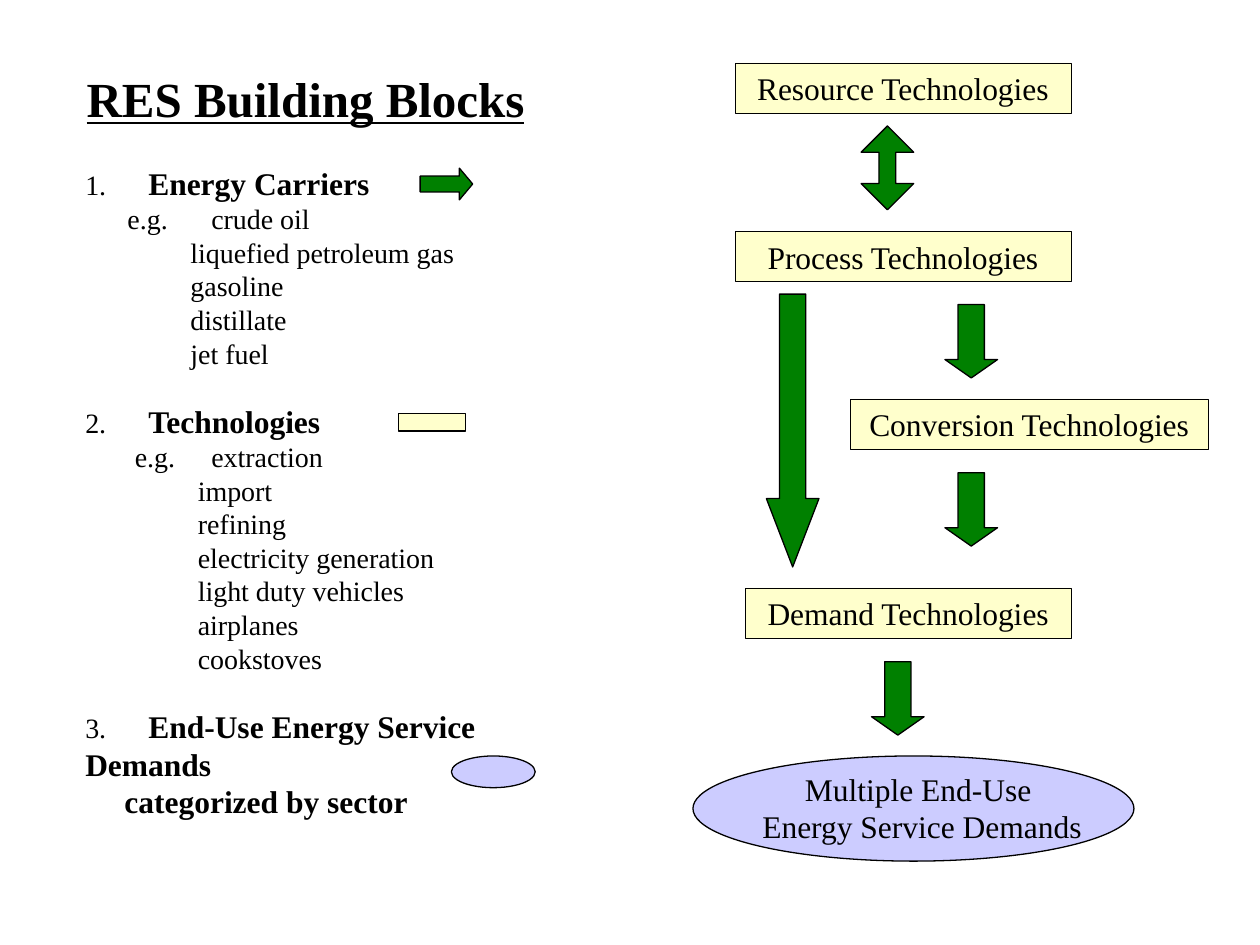
import dataclasses

import pptx
import pptx.dml.color
import pptx.enum.shapes
import pptx.enum.text
import pptx.oxml
import pptx.oxml.ns
import pptx.util

Cm = pptx.util.Cm
Pt = pptx.util.Pt
Shape = pptx.enum.shapes.MSO_SHAPE
Align = pptx.enum.text.PP_ALIGN
Anchor = pptx.enum.text.MSO_ANCHOR
Color = pptx.dml.color.RGBColor.from_string


@dataclasses.dataclass(frozen=True)
class Theme:
    font: str = "Times New Roman"
    ink: str = "000000"
    carrier: str = "008000"
    technology: str = "FFFFCC"
    demand: str = "CCCCFF"
    title: int = 28
    heading: int = 18
    body: int = 16


theme = Theme()


def add_block(kind, position, fill, line_width=0.75, adjustments=()):
    shape = slide.shapes.add_shape(kind, *map(Cm, position))
    shape.shadow.inherit = False
    shape.fill.solid()
    shape.fill.fore_color.rgb = Color(fill)
    shape.line.color.rgb = Color(theme.ink)
    shape.line.width = Pt(line_width)
    for index, value in enumerate(adjustments):
        shape.adjustments[index] = value
    return shape


def add_run(paragraph, text, size, bold=False):
    run = paragraph.add_run()
    run.text = text
    run.font.name = theme.font
    run.font.size = Pt(size)
    run.font.bold = bold
    run.font.color.rgb = Color(theme.ink)
    return run


presentation = pptx.Presentation()
presentation.slide_width = Cm(25.4)
presentation.slide_height = Cm(19.05)
slide = presentation.slides.add_slide(presentation.slide_layouts[6])

add_block(Shape.OVAL, (13.97, 15.24, 8.89, 2.12), theme.demand)

title = slide.shapes.add_textbox(Cm(0.66), Cm(0.61), Cm(11), Cm(2.74))
title.text_frame.word_wrap = True
title.text_frame.vertical_anchor = Anchor.MIDDLE
paragraph = title.text_frame.paragraphs[0]
paragraph.alignment = Align.CENTER
add_run(paragraph, "RES Building Blocks", theme.title, True).font.underline = True

sections = [
    ("Energy Carriers", 0.85,
     ["crude oil", "liquefied petroleum gas", "gasoline", "distillate", "jet fuel"]),
    ("Technologies", 1,
     ["extraction", "import", "refining", "electricity generation",
      "light duty vehicles", "airplanes", "cookstoves"]),
    ("End-Use Energy Service Demands", 0, []),
]
lines = []
for number, (heading, indent, examples) in enumerate(sections, 1):
    lines.append((0, 0, 0.71, [(f"{number}.\t", theme.body, False),
                              (heading, theme.heading, True)]))
    for index, example in enumerate(examples):
        if index == 0:
            lines.append((0, indent, indent + 1.24, [(f"e.g.\t{example}", theme.body, False)]))
        else:
            lines.append((indent + 1.27, 0, 0, [(example, theme.body, False)]))
lines.append((0.79, 0, 0, [("categorized by sector", theme.heading, True)]))

outline = slide.shapes.add_textbox(Cm(1.47), Cm(3.18), Cm(10.59), Cm(13.46))
outline.text_frame.word_wrap = True
for index, (margin, indent, tab, runs) in enumerate(lines):
    paragraph = outline.text_frame.paragraphs[0] if index == 0 else outline.text_frame.add_paragraph()
    if index and len(runs) > 1:
        paragraph.space_before = Pt(18.4)
    properties = paragraph._p.get_or_add_pPr()
    properties.set("marL", str(Cm(margin)))
    properties.set("indent", str(Cm(indent)))
    if tab:
        tabs = pptx.oxml.parse_xml(
            f'<a:tabLst {pptx.oxml.ns.nsdecls("a")}><a:tab pos="{Cm(tab)}" algn="l"/></a:tabLst>')
        properties.append(tabs)
    for text, size, bold in runs:
        add_run(paragraph, text, size, bold)

add_block(Shape.RIGHT_ARROW, (8.47, 3.39, 1.06, 0.64), theme.carrier, adjustments=(0.5, 0.42))
add_block(Shape.RECTANGLE, (8.04, 8.33, 1.35, 0.36), theme.technology)
add_block(Shape.OVAL, (9.1, 15.24, 1.69, 0.64), theme.demand)

for name, left, top, width in [
    ("Resource", 14.82, 1.27, 6.77),
    ("Process", 14.82, 4.66, 6.77),
    ("Conversion", 17.15, 8.04, 7.2),
    ("Demand", 15.03, 11.85, 6.56),
]:
    box = add_block(Shape.RECTANGLE, (left, top, width, 1.02), theme.technology, 0.25)
    box.text_frame.vertical_anchor = Anchor.MIDDLE
    paragraph = box.text_frame.paragraphs[0]
    paragraph.alignment = Align.CENTER
    add_run(paragraph, f"{name} Technologies", theme.heading)

for kind, left, top, height, head in [
    (Shape.DOWN_ARROW, 15.45, 5.93, 5.5, 1.3),
    (Shape.UP_DOWN_ARROW, 17.36, 2.54, 1.69, 0.32),
    (Shape.DOWN_ARROW, 19.05, 9.53, 1.48, 0.35),
    (Shape.DOWN_ARROW, 19.05, 6.14, 1.48, 0.35),
    (Shape.DOWN_ARROW, 17.57, 13.34, 1.48, 0.35),
]:
    add_block(kind, (left, top, 1.06, height), theme.carrier, adjustments=(0.5, head))

demands = slide.shapes.add_textbox(Cm(15.11), Cm(15.39), Cm(6.96), Cm(1.78))
demands.text_frame.word_wrap = False
for index, text in enumerate(["Multiple End-Use ", "Energy Service Demands"]):
    paragraph = demands.text_frame.paragraphs[0] if index == 0 else demands.text_frame.add_paragraph()
    paragraph.alignment = Align.CENTER
    add_run(paragraph, text, theme.heading)

presentation.save("out.pptx")
